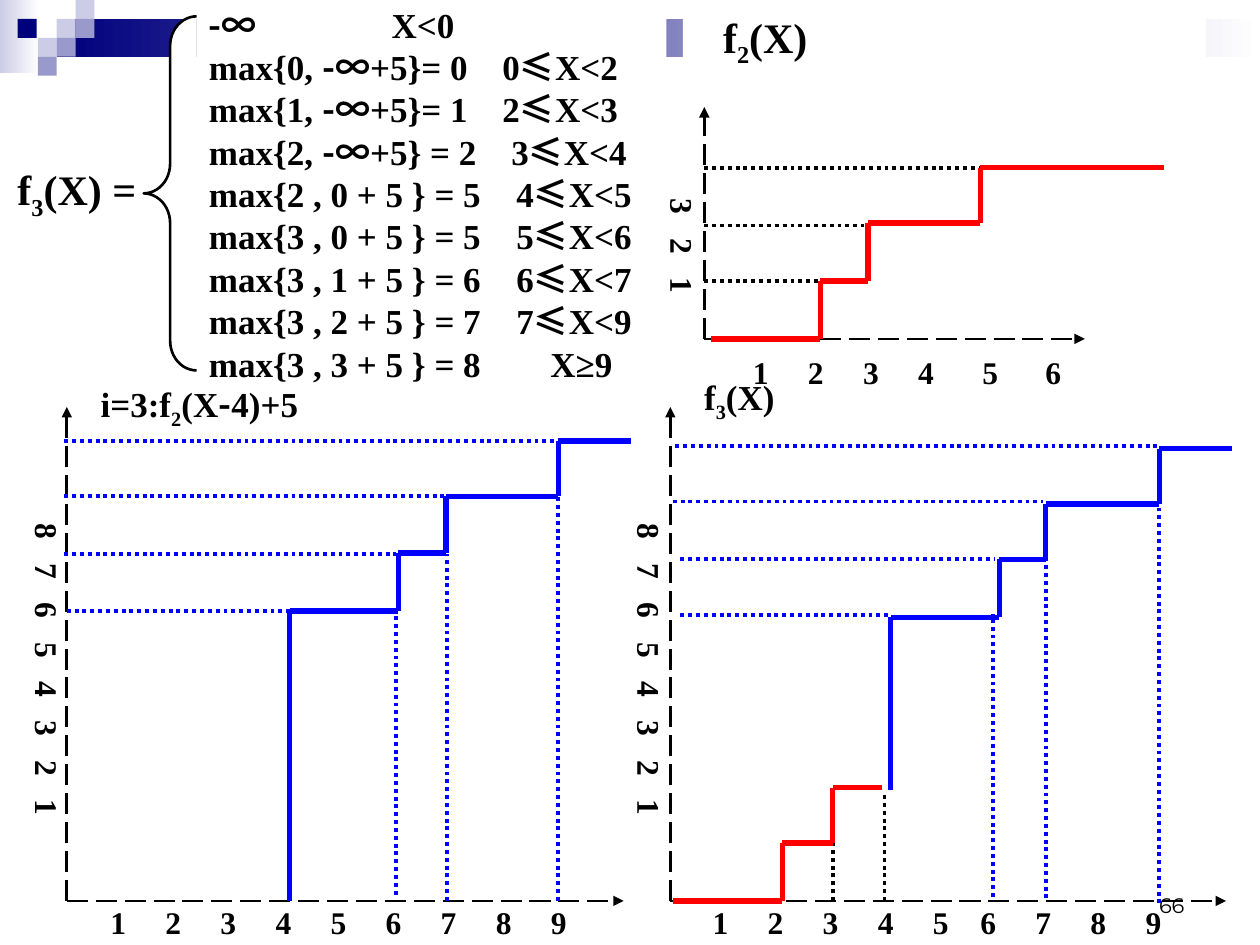
from itertools import groupby, pairwise

from lxml.etree import SubElement
from pptx import Presentation
from pptx.dml.color import RGBColor
from pptx.enum.dml import MSO_LINE
from pptx.enum.shapes import MSO_CONNECTOR, MSO_SHAPE
from pptx.enum.text import MSO_ANCHOR, PP_ALIGN
from pptx.oxml.ns import qn
from pptx.util import Inches, Pt

BLACK, WHITE, RED, BLUE = "000000", "FFFFFF", "FF0000", "0000FF"
NAVY, MID, PALE = "00007D", "9999CC", "CCCCE6"
SUBSCRIPTS = {"₂": "2", "₃": "3"}


def rgb(color):
    return RGBColor.from_string(color)


def char_kind(char):
    if char in SUBSCRIPTS:
        return "sub"
    return "symbol" if char in "-∞≤" else "plain"


class Canvas:
    font = "Times New Roman"
    symbol_font = "Noto Sans CJK SC"

    def __init__(self, slide):
        self.slide = slide

    def shape(self, x, y, w, h, fill, kind=MSO_SHAPE.RECTANGLE, line=None):
        sp = self.slide.shapes.add_shape(kind, Inches(x), Inches(y), Inches(w), Inches(h))
        sp.shadow.inherit = False
        sp.fill.solid()
        sp.fill.fore_color.rgb = rgb(fill)
        if line:
            sp.line.color.rgb = rgb(line)
            sp.line.width = Pt(1.5)
        else:
            sp.line.fill.background()
        return sp

    def gradient(self, x, y, w, h, start, end):
        sp = self.shape(x, y, w, h, start)
        sp.fill.gradient()
        sp.fill.gradient_angle = 0
        for stop, color in zip(sp.fill.gradient_stops, (start, end)):
            stop.color.rgb = rgb(color)

    def text(self, x, y, w, h, content, size, tabs=(), bold=True, font=None, wrap=True):
        sp = self.slide.shapes.add_textbox(Inches(x), Inches(y), Inches(w), Inches(h))
        tf = sp.text_frame
        tf.word_wrap = wrap
        self.fill_paragraph(tf.paragraphs[0], content, size, tabs, "ctr", bold, font)
        return tf

    def fill_paragraph(self, p, content, size, tabs=(), align="l", bold=True, font=None):
        if tabs:
            tab_list = SubElement(p._p.get_or_add_pPr(), qn("a:tabLst"))
            for tab in tabs:
                SubElement(tab_list, qn("a:tab"), pos=str(Inches(tab)), algn=align)
        for kind, chars in groupby(content, char_kind):
            r = p.add_run()
            r.text = "".join(SUBSCRIPTS.get(char, char) for char in chars)
            face = self.symbol_font if kind == "symbol" else font or self.font
            r.font.name = face
            r.font.size = Pt(size)
            r.font.bold = bold
            r.font.color.rgb = rgb(BLACK)
            r_pr = r._r.get_or_add_rPr()
            SubElement(r_pr, qn("a:ea"), typeface=face)
            if kind == "sub":
                r_pr.set("baseline", "-25000")

    def formula(self, x, y, w, h, rows):
        sp = self.shape(x, y, w, h, WHITE)
        tf = sp.text_frame
        tf.word_wrap = True
        tf.vertical_anchor = MSO_ANCHOR.TOP
        for i, (value, condition, tab) in enumerate(rows):
            p = tf.add_paragraph() if i else tf.paragraphs[0]
            p.alignment = PP_ALIGN.LEFT
            p.line_spacing = 0.8
            p.space_before = Pt(5 if i else 0)
            self.fill_paragraph(p, f"{value}\t{condition}", 20, [tab])

    def line(self, start, end, color, width, dash=None, arrow=False):
        cn = self.slide.shapes.add_connector(
            MSO_CONNECTOR.STRAIGHT, *map(Inches, start), *map(Inches, end))
        cn.line.color.rgb = rgb(color)
        cn.line.width = Pt(width)
        if dash:
            cn.line.dash_style = dash
        if arrow:
            SubElement(cn.line._get_or_add_ln(), qn("a:tailEnd"), type="triangle")
        SubElement(cn._element.spPr, qn("a:effectLst"))

    def axes(self, x, y, right, top):
        for end in ((right, y), (x, top)):
            self.line((x, y), end, BLACK, 1.5, MSO_LINE.LONG_DASH, arrow=True)

    def x_labels(self, x, y, w, tabs):
        labels = "".join(f"\t{n}" for n in range(1, len(tabs) + 1))
        self.text(x, y, w, 0.4, labels, 18, tabs)

    def y_labels(self, x, y, h, top, count):
        labels = "".join(f"\t{n}" for n in range(count, 0, -1))
        tabs = [top + 0.313 * i for i in range(count)]
        tf = self.text(x, y, 0.5, h, labels, 18, tabs)
        tf.margin_left = tf.margin_right = Inches(0.05)
        tf.margin_top = tf.margin_bottom = Inches(0.1)
        tf._txBody.bodyPr.set("vert", "eaVert")

    def steps(self, color, points):
        for start, end in pairwise(points):
            self.line(start, end, color, 3)

    def levels(self, color, guides):
        for left, right, y in guides:
            self.line((left, y), (right, y), color, 2.25, MSO_LINE.ROUND_DOT)

    def drops(self, color, guides):
        for x, bottom, top in guides:
            self.line((x, bottom), (x, top), color, 2.25, MSO_LINE.ROUND_DOT)


def even_tabs(count):
    return [0.12 + 0.437 * i for i in range(count)]


def draw_header(c):
    c.gradient(0, 0, 0.31, 0.58, PALE, WHITE)
    c.gradient(0.45, 0.15, 9.55, 0.3, NAVY, WHITE)
    for x, y, color in ((0.45, 0.15, PALE), (0.6, 0, PALE), (0.6, 0.15, MID), (0.3, 0.3, PALE),
                        (0.14, 0.15, NAVY), (0.45, 0.3, MID), (0.3, 0.45, MID)):
        c.shape(x, y, 0.15, 0.15, color)
    tf = c.text(7.17, 6.83, 2.33, 0.5, "66", 12, bold=False, font="Montserrat")
    tf.vertical_anchor = MSO_ANCHOR.BOTTOM
    tf.paragraphs[0].alignment = PP_ALIGN.RIGHT
    c.shape(5.42, 0.08, 4.15, 2.94, WHITE)


def draw_definition(c):
    c.formula(1.56, 0.04, 3.73, 3.06, [
        ("-∞", "X<0", 1.45),
        ("max{0, -∞+5}= 0", "0≤X<2", 2.33),
        ("max{1, -∞+5}= 1", "2≤X<3", 2.33),
        ("max{2, -∞+5} = 2", "3≤X<4", 2.4),
        ("max{2 , 0 + 5 } = 5", "4≤X<5", 2.44),
        ("max{3 , 0 + 5 } = 5", "5≤X<6", 2.44),
        ("max{3 , 1 + 5 } = 6", "6≤X<7", 2.44),
        ("max{3 , 2 + 5 } = 7", "7≤X<9", 2.44),
        ("max{3 , 3 + 5 } = 8", "X≥9", 2.71),
    ])
    c.text(0.04, 1.25, 1.23, 0.56, "f₃(X) =", 24, wrap=False)
    brace = c.shape(1.14, 0.13, 0.42, 2.81, WHITE, MSO_SHAPE.LEFT_BRACE, BLACK)
    brace.adjustments[0] = 0.56


def draw_f2(c):
    c.axes(5.59, 2.69, 8.61, 0.85)
    c.x_labels(5.82, 2.75, 3.06, even_tabs(4) + [1.94, 2.44])
    c.y_labels(5.12, 1.17, 1.56, 0.37, 3)
    c.text(5.64, 0.04, 0.9, 0.56, "f₂(X)", 24)
    c.levels(BLACK, [(5.59, 6.86, 1.79), (5.59, 7.78, 1.33), (5.59, 6.49, 2.23)])
    c.steps(RED, [(5.64, 2.69), (6.51, 2.69), (6.51, 2.23), (6.89, 2.23),
                  (6.89, 1.77), (7.78, 1.77), (7.78, 1.33), (9.24, 1.33)])


def draw_shifted_f2(c):
    c.axes(0.53, 7.15, 4.95, 3.23)
    c.x_labels(0.72, 7.12, 4.46, even_tabs(9))
    c.y_labels(0.08, 3.29, 4, 0.83, 8)
    c.levels(BLUE, [(0.53, 2.3, 4.85), (0.51, 3.14, 4.4), (0.51, 3.53, 3.94), (0.51, 4.45, 3.5)])
    c.drops(BLUE, [(3.14, 7.1, 4.85), (3.55, 7.15, 4.4), (4.43, 7.15, 3.92)])
    c.steps(BLUE, [(2.3, 7.15), (2.3, 4.85), (3.16, 4.85), (3.16, 4.39), (3.54, 4.39),
                   (3.54, 3.94), (4.43, 3.94), (4.43, 3.5), (5.01, 3.5)])
    c.text(0.7, 2.99, 3.51, 0.48, "i=3:f₂(X-4)+5", 20)


def draw_f3(c):
    c.axes(5.32, 7.15, 9.73, 3.23)
    tabs = even_tabs(9)
    c.x_labels(5.5, 7.12, 4.46, tabs[:5] + [tab - 0.06 for tab in tabs[5:]])
    c.y_labels(4.86, 3.29, 4, 0.83, 8)
    c.levels(BLUE, [(5.4, 7.05, 4.88), (5.4, 7.9, 4.44), (5.34, 8.28, 3.98), (5.36, 9.2, 3.54)])
    c.drops(BLUE, [(7.88, 7.12, 4.87), (8.3, 7.13, 4.42), (9.2, 7.17, 3.94)])
    c.drops(BLACK, [(6.61, 7.15, 6.69), (7.02, 7.15, 6.29)])
    c.steps(BLUE, [(7.07, 6.27), (7.07, 4.9), (7.93, 4.9), (7.93, 4.44), (8.3, 4.44),
                   (8.3, 4), (9.2, 4), (9.2, 3.56), (9.78, 3.56)])
    c.steps(RED, [(5.34, 7.15), (6.21, 7.15), (6.21, 6.69), (6.61, 6.69), (6.61, 6.25), (7, 6.25)])
    c.text(5.49, 2.93, 0.76, 0.48, "f₃(X)", 20, wrap=False)


def main():
    prs = Presentation()
    prs.slide_width, prs.slide_height = Inches(10), Inches(7.5)
    c = Canvas(prs.slides.add_slide(prs.slide_layouts[6]))
    for draw in (draw_header, draw_definition, draw_f2, draw_shifted_f2, draw_f3):
        draw(c)
    prs.save("out.pptx")


if __name__ == "__main__":
    main()
